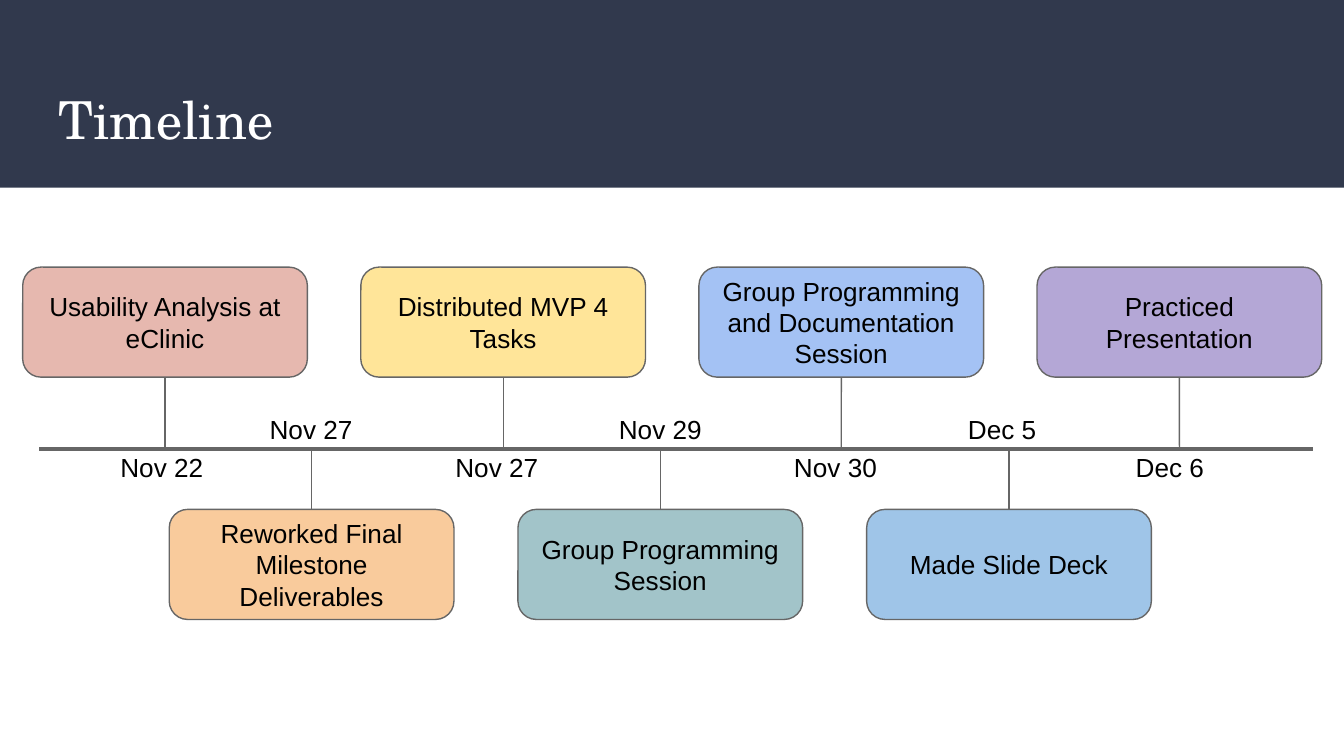
from lxml import etree
from pptx import Presentation
from pptx.dml.color import RGBColor
from pptx.enum.shapes import MSO_CONNECTOR, MSO_SHAPE
from pptx.enum.text import MSO_ANCHOR, PP_ALIGN
from pptx.oxml.ns import qn
from pptx.util import Cm, Pt

RECTANGLE = MSO_SHAPE.RECTANGLE
ROUNDED = MSO_SHAPE.ROUNDED_RECTANGLE
STRAIGHT = MSO_CONNECTOR.STRAIGHT
LEFT, CENTER = PP_ALIGN.LEFT, PP_ALIGN.CENTER
TOP, MIDDLE = MSO_ANCHOR.TOP, MSO_ANCHOR.MIDDLE
TOP_SIDE, BOTTOM_SIDE = 0, 2

NAVY, GRAY, BLACK, WHITE = "31394D", "666666", "000000", "FFFFFF"
AXIS_Y = 8.48
CARD_WIDTH, CARD_HEIGHT = 5.38, 2.08

# Each event: card text, card fill, date, left edge of the date in cm
EVENTS_ABOVE = [
    ("Usability Analysis at eClinic", "E6B8AF", "Nov 22", 1.98),
    ("Distributed MVP 4 Tasks", "FFE599", "Nov 27", 8.31),
    ("Group Programming and Documentation Session", "A4C2F4", "Nov 30", 14.71),
    ("Practiced Presentation", "B4A7D6", "Dec 6", 21.03),
]
EVENTS_BELOW = [
    ("Reworked Final Milestone Deliverables", "F9CB9C", "Nov 27", 4.8),
    ("Group Programming Session", "A2C4C9", "Nov 29", 11.4),
    ("Made Slide Deck", "9FC5E8", "Dec 5", 17.86),
]


def color(hex_string):
    return RGBColor.from_string(hex_string)


def write_text(box, text, size=14, font="Arial", ink=BLACK, align=CENTER, anchor=TOP):
    frame = box.text_frame
    frame.text = text
    frame.word_wrap = True
    frame.vertical_anchor = anchor
    frame.margin_left = frame.margin_right = Cm(0.25)
    frame.margin_top = frame.margin_bottom = Cm(0.25)
    para = frame.paragraphs[0]
    para.alignment = align
    for span in para.runs:
        span.font.name = font
        span.font.size = Pt(size)
        span.font.color.rgb = color(ink)


def add_box(page, kind, left, top, width, height, fill):
    box = page.shapes.add_shape(kind, Cm(left), Cm(top), Cm(width), Cm(height))
    box.shadow.inherit = False
    box.fill.solid()
    box.fill.fore_color.rgb = color(fill)
    box.line.fill.background()
    return box


def add_line(page, x1, y1, x2, y2, weight):
    line = page.shapes.add_connector(STRAIGHT, Cm(x1), Cm(y1), Cm(x2), Cm(y2))
    line.line.color.rgb = color(GRAY)
    line.line.width = Pt(weight)
    etree.SubElement(line.element.spPr, qn("a:effectLst"))
    return line


def add_header(page):
    title = page.shapes.title
    title.left, title.top = Cm(0.86), Cm(1.4)
    title.width, title.height = Cm(23.67), Cm(1.73)
    write_text(title, "Timeline", 28, "TeX Gyre Schola", WHITE, LEFT)
    banner = add_box(page, RECTANGLE, 0, 0, 25.4, 3.55, NAVY)
    title.element.addprevious(banner.element)


def add_card(page, left, top, text, fill):
    card = add_box(page, ROUNDED, left, top, CARD_WIDTH, CARD_HEIGHT, fill)
    card.line.color.rgb = color(GRAY)
    card.line.width = Pt(0.75)
    write_text(card, text, anchor=MIDDLE)
    return card


def add_date(page, left, top, text):
    box = page.shapes.add_textbox(Cm(left), Cm(top), Cm(2.16), Cm(1.35))
    write_text(box, text)


def add_events(page, events, first_left, step, card_top, date_top, side):
    """Add a row of cards, each tied to the axis from the given side."""
    for index, (text, fill, date, date_left) in enumerate(events):
        left = first_left + index * step
        center = left + CARD_WIDTH / 2
        card = add_card(page, left, card_top, text, fill)
        stem = add_line(page, center, card_top, center, AXIS_Y, 0.75)
        stem.begin_connect(card, side)
        add_date(page, date_left, date_top, date)


def main():
    deck = Presentation()
    deck.slide_width, deck.slide_height = Cm(25.4), Cm(14.29)
    page = deck.slides.add_slide(deck.slide_layouts.get_by_name("Title Only"))
    add_header(page)
    add_line(page, 0.74, AXIS_Y, 24.82, AXIS_Y, 2.25)
    add_events(page, EVENTS_ABOVE, 0.43, 6.39, 5.05, 8.28, BOTTOM_SIDE)
    add_events(page, EVENTS_BELOW, 3.2, 6.59, 9.63, 7.57, TOP_SIDE)
    deck.save("out.pptx")


if __name__ == "__main__":
    main()
